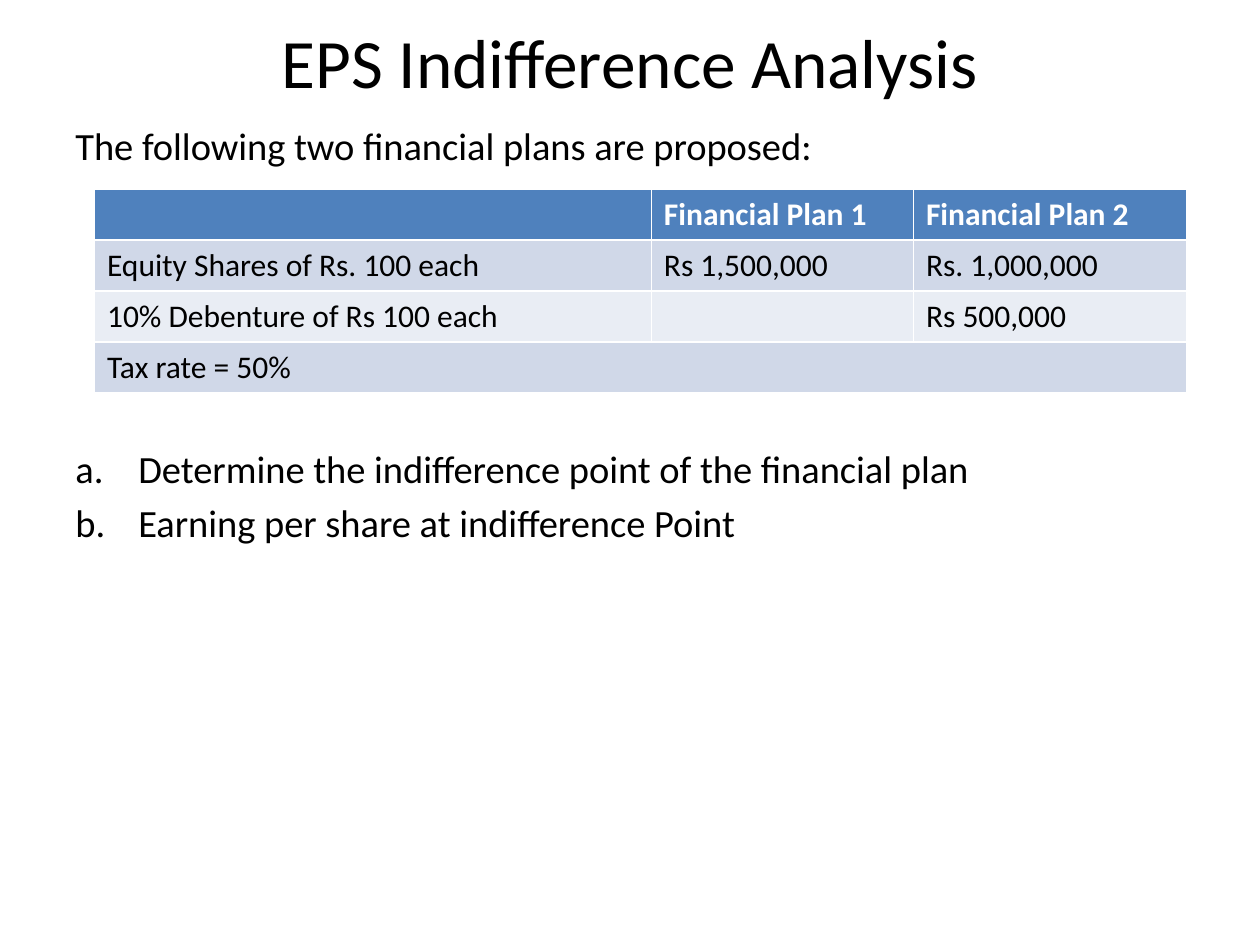
from typing import NamedTuple

import pptx
import pptx.dml.color
import pptx.enum.text
import pptx.oxml
import pptx.oxml.ns
import pptx.util

Inches = pptx.util.Inches
Pt = pptx.util.Pt
RGBColor = pptx.dml.color.RGBColor
Align = pptx.enum.text.PP_ALIGN
Anchor = pptx.enum.text.MSO_ANCHOR

FONT = "Calibri"
BLACK = RGBColor(0x00, 0x00, 0x00)
WHITE = RGBColor(0xFF, 0xFF, 0xFF)
HEADER_BLUE = RGBColor(0x4F, 0x81, 0xBD)
BAND_DARK = RGBColor(0xD0, 0xD8, 0xE8)
BAND_LIGHT = RGBColor(0xE9, 0xED, 0xF4)


class PlanRow(NamedTuple):
    cells: tuple[str, str, str]
    fill: RGBColor
    color: RGBColor = BLACK
    bold: bool = False


class BodyLine(NamedTuple):
    text: str
    space_before: float = 0
    lettered: bool = False


COLUMN_WIDTHS = (4.42, 2.08, 2.17)
ROW_HEIGHT = 0.405
PLAN_ROWS = (
    PlanRow(("", "Financial Plan 1", "Financial Plan 2"), HEADER_BLUE, WHITE, True),
    PlanRow(("Equity Shares of Rs. 100 each", "Rs 1,500,000", "Rs. 1,000,000"), BAND_DARK),
    PlanRow(("10% Debenture of Rs 100 each", "", "Rs 500,000"), BAND_LIGHT),
    PlanRow(("Tax rate = 50%", "", ""), BAND_DARK),
)
# The first question is spaced down to clear the table
BODY_LINES = (
    BodyLine("The following two financial plans are proposed:"),
    BodyLine("Determine the indifference point of the financial plan", 158, True),
    BodyLine("Earning per share at indifference Point", 4.4, True),
)


def style_font(paragraph, size: float, color: RGBColor = BLACK, bold: bool = False) -> None:
    font = paragraph.font
    font.name, font.size, font.bold = FONT, Pt(size), bold
    font.color.rgb = color


def add_lettering(paragraph) -> None:
    """Number a paragraph a., b., ... with a hanging indent."""
    properties = paragraph._p.get_or_add_pPr()
    properties.set("marL", str(Inches(0.5)))
    properties.set("indent", str(Inches(-0.5)))
    numbering = pptx.oxml.parse_xml(
        f'<a:buAutoNum {pptx.oxml.ns.nsdecls("a")} type="alphaLcPeriod"/>'
    )
    properties.insert_element_before(numbering, "a:tabLst", "a:defRPr", "a:extLst")


def set_title(slide, text: str) -> None:
    title = slide.shapes.title
    title.left, title.top = Inches(0.5), Inches(0.3)
    title.width, title.height = Inches(9), Inches(0.37)
    frame = title.text_frame
    frame.text = text
    frame.auto_size = pptx.enum.text.MSO_AUTO_SIZE.NONE
    frame.vertical_anchor = Anchor.MIDDLE
    paragraph = frame.paragraphs[0]
    paragraph.alignment = Align.CENTER
    style_font(paragraph, 39.6)


def add_body(slide, lines: tuple[BodyLine, ...]) -> None:
    box = slide.shapes.add_textbox(Inches(0.5), Inches(0.92), Inches(9), Inches(6.25))
    frame = box.text_frame
    frame.word_wrap = True
    for index, line in enumerate(lines):
        paragraph = frame.add_paragraph() if index else frame.paragraphs[0]
        paragraph.text = line.text
        paragraph.alignment = Align.JUSTIFY
        paragraph.space_before = Pt(line.space_before)
        style_font(paragraph, 22)
        if line.lettered:
            add_lettering(paragraph)


def add_plan_table(slide, rows: tuple[PlanRow, ...]) -> None:
    table = slide.shapes.add_table(
        len(rows), len(COLUMN_WIDTHS), Inches(0.75), Inches(1.5),
        Inches(sum(COLUMN_WIDTHS)), Inches(ROW_HEIGHT * len(rows)),
    ).table
    for column, width in zip(table.columns, COLUMN_WIDTHS):
        column.width = Inches(width)
    for row_index, row in enumerate(rows):
        for column_index, text in enumerate(row.cells):
            cell = table.cell(row_index, column_index)
            cell.text = text
            cell.fill.solid()
            cell.fill.fore_color.rgb = row.fill
            style_font(cell.text_frame.paragraphs[0], 18, row.color, row.bold)
    # The tax rate applies to both plans
    last = len(rows) - 1
    table.cell(last, 0).merge(table.cell(last, len(COLUMN_WIDTHS) - 1))


def main() -> None:
    presentation = pptx.Presentation()
    presentation.slide_width, presentation.slide_height = Inches(10), Inches(7.5)
    slide = presentation.slides.add_slide(presentation.slide_layouts[5])
    set_title(slide, "EPS Indifference Analysis")
    add_body(slide, BODY_LINES)
    add_plan_table(slide, PLAN_ROWS)
    presentation.save("out.pptx")


if __name__ == "__main__":
    main()
